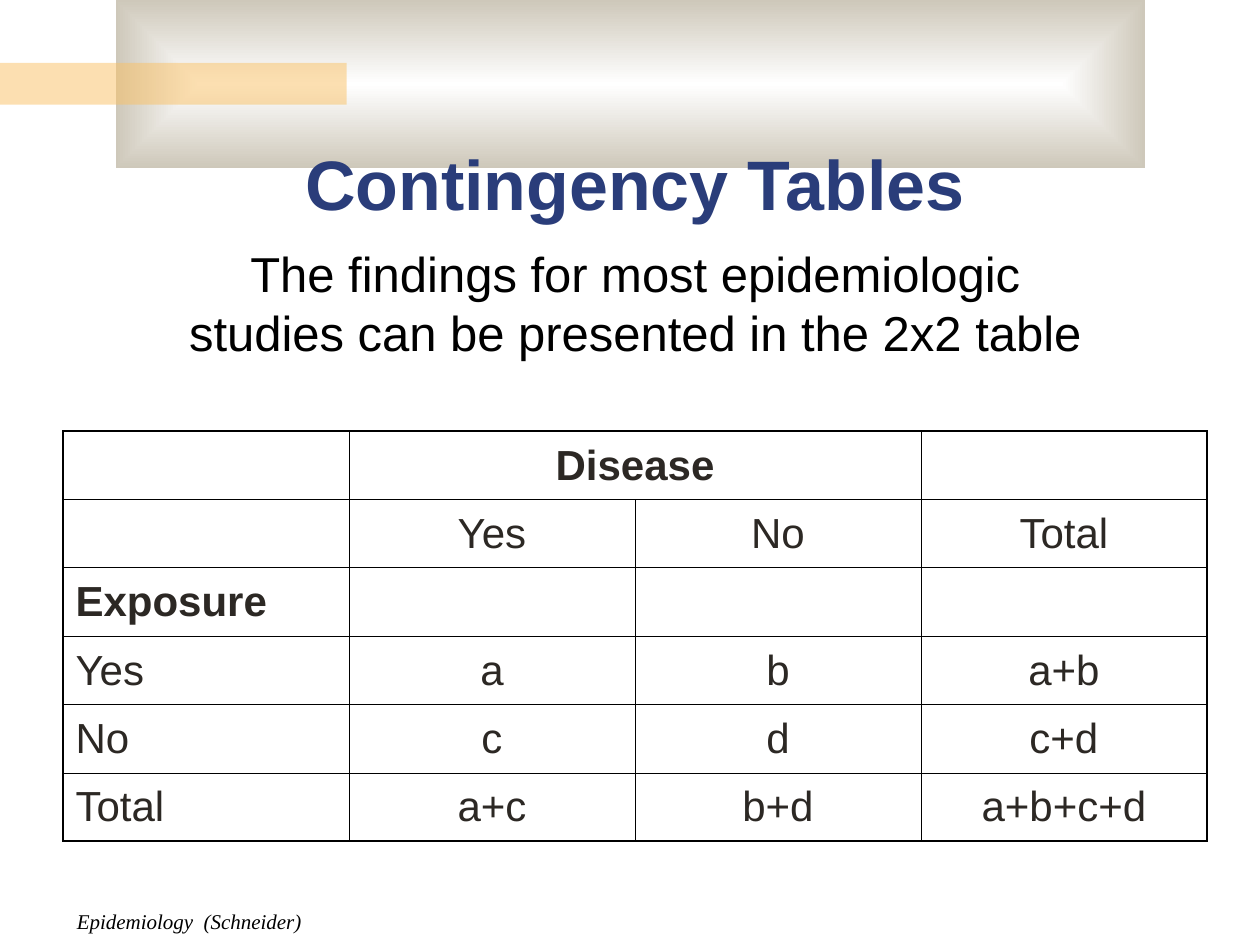
from lxml import etree
from pptx import Presentation
from pptx import oxml
from pptx import util as u
from pptx.dml.color import RGBColor
from pptx.enum import shapes, text
from pptx.oxml import ns

COLORS = {
    "white": "FFFFFF",
    "stone": "CEC8BA",
    "amber": "FAC164",
    "navy": "2A3D7A",
    "ink": "2C2824",
    "black": "000000",
}
THIN, THICK = 0.45, 1.08
ROWS = [
    ["", "Disease", "", ""],
    ["", "Yes", "No", "Total"],
    ["Exposure", "", "", ""],
    ["Yes", "a", "b", "a+b"],
    ["No", "c", "d", "c+d"],
    ["Total", "a+c", "b+d", "a+b+c+d"],
]
HEADINGS = ("Disease", "Exposure")


def rgb(name):
    return RGBColor.from_string(COLORS[name])


def style(para, size, color, font="Arial", bold=False, italic=False):
    for span in para.runs:
        span.font.name = font
        span.font.size = u.Pt(size)
        span.font.color.rgb = rgb(color)
        span.font.bold = bold
        span.font.italic = italic


def add_bar(page, left, top, width, height, color):
    bar = page.shapes.add_shape(
        shapes.MSO_SHAPE.RECTANGLE, u.Cm(left), u.Cm(top), u.Cm(width), u.Cm(height))
    bar.shadow.inherit = False
    bar.line.fill.background()
    bar.fill.solid()
    bar.fill.fore_color.rgb = rgb(color)
    return bar


def add_banner(page, left, top, width, height):
    # Panel shaded from a white centre to stone edges
    panel = add_bar(page, left + 2.33, top, width - 4.65, height, "stone")
    gradient = oxml.parse_xml(
        f'<a:gradFill {ns.nsdecls("a")} rotWithShape="1"><a:gsLst>'
        f'<a:gs pos="0"><a:srgbClr val="{COLORS["white"]}"/></a:gs>'
        f'<a:gs pos="100000"><a:srgbClr val="{COLORS["stone"]}"/></a:gs></a:gsLst>'
        '<a:path path="rect"><a:fillToRect l="50000" t="50000" r="50000" b="50000"/>'
        '</a:path></a:gradFill>')
    properties = panel.element.spPr
    properties.replace(properties.find(ns.qn("a:solidFill")), gradient)

    # Half-transparent accent
    accent = add_bar(page, left, top + 1.27, 6.99, 0.84, "amber")
    color = accent.element.spPr.find(ns.qn("a:solidFill"))[0]
    etree.SubElement(color, ns.qn("a:alpha"), val="50000")


def add_text(page, left, top, width, height, words, size, color,
             align=text.PP_ALIGN.CENTER, anchor=text.MSO_ANCHOR.TOP, **look):
    box = page.shapes.add_textbox(u.Cm(left), u.Cm(top), u.Cm(width), u.Cm(height))
    frame = box.text_frame
    frame.word_wrap = True
    frame.vertical_anchor = anchor
    frame.text = words
    para = frame.paragraphs[0]
    para.alignment = align
    style(para, size, color, **look)


def set_borders(cell, widths):
    properties = cell._tc.get_or_add_tcPr()
    for side, width in widths.items():
        line = etree.SubElement(properties, ns.qn(f"a:ln{side}"), w=str(u.Pt(width)))
        fill = etree.SubElement(line, ns.qn("a:solidFill"))
        etree.SubElement(fill, ns.qn("a:srgbClr"), val=COLORS["black"])


def add_contingency_table(page, left, top, width, height):
    row_count, column_count = len(ROWS), len(ROWS[0])
    table = page.shapes.add_table(
        row_count, column_count,
        u.Cm(left), u.Cm(top), u.Cm(width), u.Cm(height)).table
    table.first_row = table.horz_banding = False

    for r, row in enumerate(ROWS):
        for c, words in enumerate(row):
            cell = table.cell(r, c)
            # Thicker lines on the outer edge
            set_borders(cell, {
                "L": THIN if c else THICK,
                "R": THICK if c == column_count - 1 else THIN,
                "T": THIN if r else THICK,
                "B": THICK if r == row_count - 1 else THIN,
            })
            cell.fill.background()
            if words:
                cell.text = words
                para = cell.text_frame.paragraphs[0]
                para.alignment = text.PP_ALIGN.CENTER if c else text.PP_ALIGN.LEFT
                para.line_spacing = 1.1
                style(para, 24, "ink", bold=words in HEADINGS)

    # Disease spans its Yes and No columns
    table.cell(0, 1).merge(table.cell(0, 2))


def main():
    deck = Presentation()
    deck.slide_width, deck.slide_height = u.Cm(25.4), u.Cm(19.05)
    page = deck.slides.add_slide(deck.slide_layouts[6])

    add_banner(page, 0, 0, 25.4, 3.39)
    # Footer
    add_text(page, 1.3, 18.19, 13.97, 0.76, "Epidemiology  (Schneider)", 12, "black",
             align=text.PP_ALIGN.LEFT, font="Times New Roman", italic=True)
    # Title
    add_text(page, 1.27, 3.18, 23.06, 1.47, "Contingency Tables", 40, "navy",
             anchor=text.MSO_ANCHOR.BOTTOM, bold=True)
    add_contingency_table(page, 1.27, 8.69, 23.06, 8.27)
    # Introduction
    add_text(page, 3.18, 4.78, 19.25, 2.64,
             "The findings for most epidemiologic studies can be presented in the 2x2 table",
             28, "black")

    deck.save("out.pptx")


if __name__ == "__main__":
    main()
